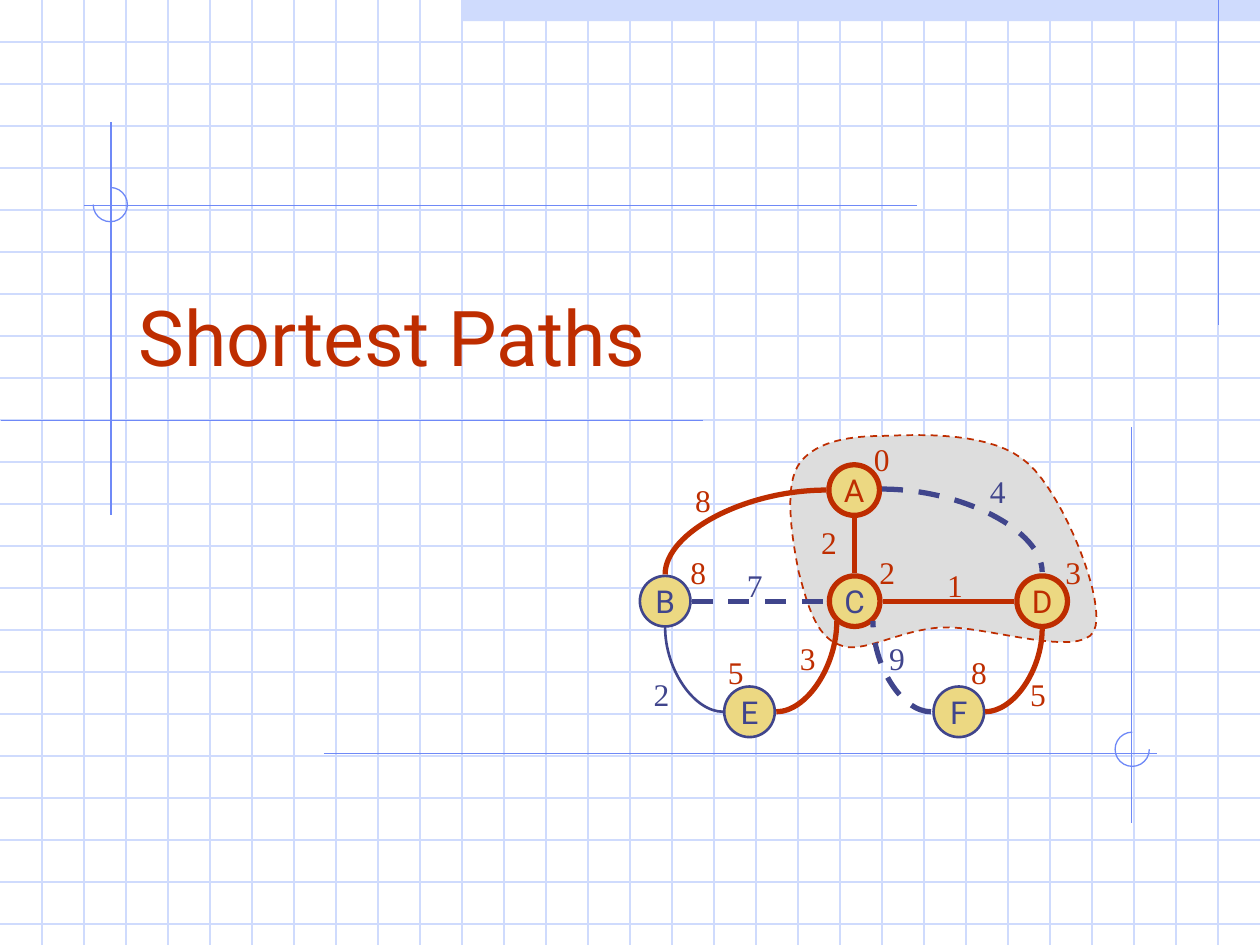
from pptx import Presentation
from pptx import util as u
from pptx.dml.color import RGBColor
from pptx.enum import dml, shapes, text
from pptx.oxml.ns import qn
from lxml import etree

Cm, Pt = u.Cm, u.Pt
PALE = RGBColor(0xCF, 0xDB, 0xFD)
BLUE = RGBColor(0x6F, 0x89, 0xF7)
RED = RGBColor(0xBE, 0x2D, 0x00)
NAVY = RGBColor(0x40, 0x45, 0x8C)
YELLOW = RGBColor(0xEC, 0xD8, 0x82)
GREY = RGBColor(0xDD, 0xDD, 0xDD)
W, H = 25.4, 19.05

prs = Presentation()
prs.slide_width, prs.slide_height = Cm(W), Cm(H)
s = prs.slides.add_slide(prs.slide_layouts[5])


def add_line(ends, color, width=0.75, dashed=False):
    """Straight when level or upright; otherwise leaves level, arrives upright."""
    x1, y1, x2, y2 = ends
    curved = x1 != x2 and y1 != y2
    kind = shapes.MSO_CONNECTOR.CURVE if curved else shapes.MSO_CONNECTOR.STRAIGHT
    c = s.shapes.add_connector(kind, Cm(x1), Cm(y1), Cm(x2), Cm(y2))
    c.line.color.rgb = color
    c.line.width = Pt(width)
    if dashed:
        c.line.dash_style = dml.MSO_LINE.DASH
    sp_pr = c._element.spPr
    if curved:
        sp_pr.find(qn("a:prstGeom")).set("prst", "curvedConnector2")
    etree.SubElement(sp_pr, qn("a:effectLst"))


def set_text(sp, value, font, size, color, align, anchor):
    tf = sp.text_frame
    tf.text = value
    tf.word_wrap = False
    tf.auto_size = text.MSO_AUTO_SIZE.NONE
    tf.vertical_anchor = anchor
    p = tf.paragraphs[0]
    p.alignment = align
    r = p.runs[0]
    r.font.name, r.font.size = font, Pt(size)
    r.font.color.rgb = color


# Top band and grid paper
band = s.shapes.add_shape(shapes.MSO_SHAPE.RECTANGLE, Cm(9.31), 0, Cm(16.09), Cm(0.43))
band.shadow.inherit = False
band.fill.solid()
band.fill.fore_color.rgb = PALE
band.line.fill.background()
step = W / 30
for i in range(1, 23):
    add_line((0, i * step, W, i * step), PALE)
for i in range(1, 30):
    add_line((i * step, 0, i * step, H), PALE)

# Guide lines and corner arcs
for ends in [
    (24.56, 0, 24.56, 6.55),
    (2.24, 2.46, 2.24, 10.39),
    (14.17, 8.48, 0.03, 8.48),
    (18.49, 4.14, 1.7, 4.14),
    (6.53, 15.19, 23.32, 15.19),
    (22.81, 8.61, 22.81, 16.59),
]:
    add_line(ends, BLUE)
for x, y, start, end in [(1.88, 3.78, 270, 180), (22.48, 14.76, 0, 270)]:
    arc = s.shapes.add_shape(shapes.MSO_SHAPE.ARC, Cm(x), Cm(y), Cm(0.69), Cm(0.69))
    arc.adjustments[0] = start * 0.6
    arc.adjustments[1] = end * 0.6
    arc.shadow.inherit = False
    arc.fill.background()
    arc.line.color.rgb = BLUE
    arc.line.width = Pt(0.75)

# Title, brought in front of the grid
title = s.shapes.title
title.left, title.top, title.width, title.height = Cm(2.54), Cm(4.65), Cm(21.59), Cm(3.18)
set_text(title, "Shortest Paths", "Roboto", 44, RED,
         text.PP_ALIGN.LEFT, text.MSO_ANCHOR.BOTTOM)
title.text_frame.word_wrap = True
s.shapes._spTree.append(title._element)

# Cloud of visited vertices: a chain of cubic curves
cloud_start = (17.78, 8.79)
cloud_curves = [
    ((18.54, 8.76), (20.02, 8.69), (20.73, 9.35)),
    ((21.44, 9.98), (22.33, 12.17), (22.05, 12.73)),
    ((21.74, 13.28), (19.84, 12.6), (18.97, 12.65)),
    ((18.11, 12.7), (17.37, 13.21), (16.92, 13)),
    ((16.43, 12.83), (16.26, 12.12), (16.1, 11.53)),
    ((15.98, 10.92), (15.8, 9.88), (16.08, 9.4)),
    ((16.36, 8.94), (17.02, 8.79), cloud_start),
]
points, a = [], cloud_start
for b, c, d in cloud_curves:
    for t in [n / 16 for n in range(1, 17)]:
        weights = ((1 - t) ** 3, 3 * t * (1 - t) ** 2, 3 * t * t * (1 - t), t ** 3)
        points.append(tuple(Cm(sum(w * q[k] for w, q in zip(weights, (a, b, c, d))))
                            for k in (0, 1)))
    a = d
builder = s.shapes.build_freeform(Cm(cloud_start[0]), Cm(cloud_start[1]))
builder.add_line_segments(points, close=True)
cloud = builder.convert_to_shape()
cloud.shadow.inherit = False
cloud.fill.solid()
cloud.fill.fore_color.rgb = GREY
cloud.line.color.rgb = RED
cloud.line.width = Pt(1)
cloud.line.dash_style = dml.MSO_LINE.DASH

# Vertices: name, centre, outline, outline width, text colour
size = 1.02
for name, x, y, outline, width, color in [
    ("C", 17.23, 12.12, RED, 3, NAVY),
    ("B", 13.41, 12.12, NAVY, 1.5, NAVY),
    ("A", 17.22, 9.88, RED, 3, RED),
    ("E", 15.11, 14.35, NAVY, 1.5, NAVY),
    ("D", 21.01, 12.12, RED, 3, RED),
    ("F", 19.33, 14.35, NAVY, 1.5, NAVY),
]:
    node = s.shapes.add_shape(shapes.MSO_SHAPE.OVAL, Cm(x - size / 2), Cm(y - size / 2),
                              Cm(size), Cm(size))
    node.shadow.inherit = False
    node.fill.solid()
    node.fill.fore_color.rgb = YELLOW
    node.line.color.rgb = outline
    node.line.width = Pt(width)
    set_text(node, name, "Roboto", 18, color, text.PP_ALIGN.CENTER, text.MSO_ANCHOR.MIDDLE)

# Edges
for ends, color, width, dashed in [
    ((16.66, 9.88, 13.41, 11.58), RED, 3, False),       # A-B
    ((14.58, 14.35, 13.41, 12.65), NAVY, 1.5, False),   # E-B
    ((15.65, 14.35, 16.87, 12.52), RED, 3, False),      # E-C
    ((17.22, 10.44, 17.22, 11.56), RED, 3, False),      # A-C
    ((13.94, 12.12, 16.66, 12.12), NAVY, 3, True),      # B-C
    ((19.86, 14.35, 21.01, 12.67), RED, 3, False),      # F-D
    ((17.78, 9.86, 21.01, 11.53), NAVY, 3, True),       # A-D
    ((17.81, 12.12, 20.45, 12.12), RED, 3, False),      # C-D
    ((18.77, 14.35, 17.6, 12.52), NAVY, 3, True),       # F-C
]:
    add_line(ends, color, width, dashed)

# Distances and edge weights
for value, x, y, color in [
    ("0", 17.37, 8.74, RED), ("3", 21.23, 11.02, RED), ("2", 17.48, 11.02, RED),
    ("8", 13.67, 11.02, RED), ("5", 14.43, 13.03, RED), ("8", 19.33, 13.03, RED),
    ("4", 19.71, 9.4, NAVY), ("8", 13.77, 9.58, RED), ("7", 14.81, 11.28, NAVY),
    ("1", 18.85, 11.28, RED), ("2", 12.93, 13.49, NAVY), ("5", 20.52, 13.49, RED),
    ("2", 16.31, 10.41, RED), ("3", 15.88, 12.75, RED), ("9", 17.68, 12.75, NAVY),
]:
    label = s.shapes.add_textbox(Cm(x), Cm(y), Cm(0.81), Cm(1.02))
    set_text(label, value, "Times New Roman", 18, color,
             text.PP_ALIGN.CENTER, text.MSO_ANCHOR.TOP)

prs.save("out.pptx")
